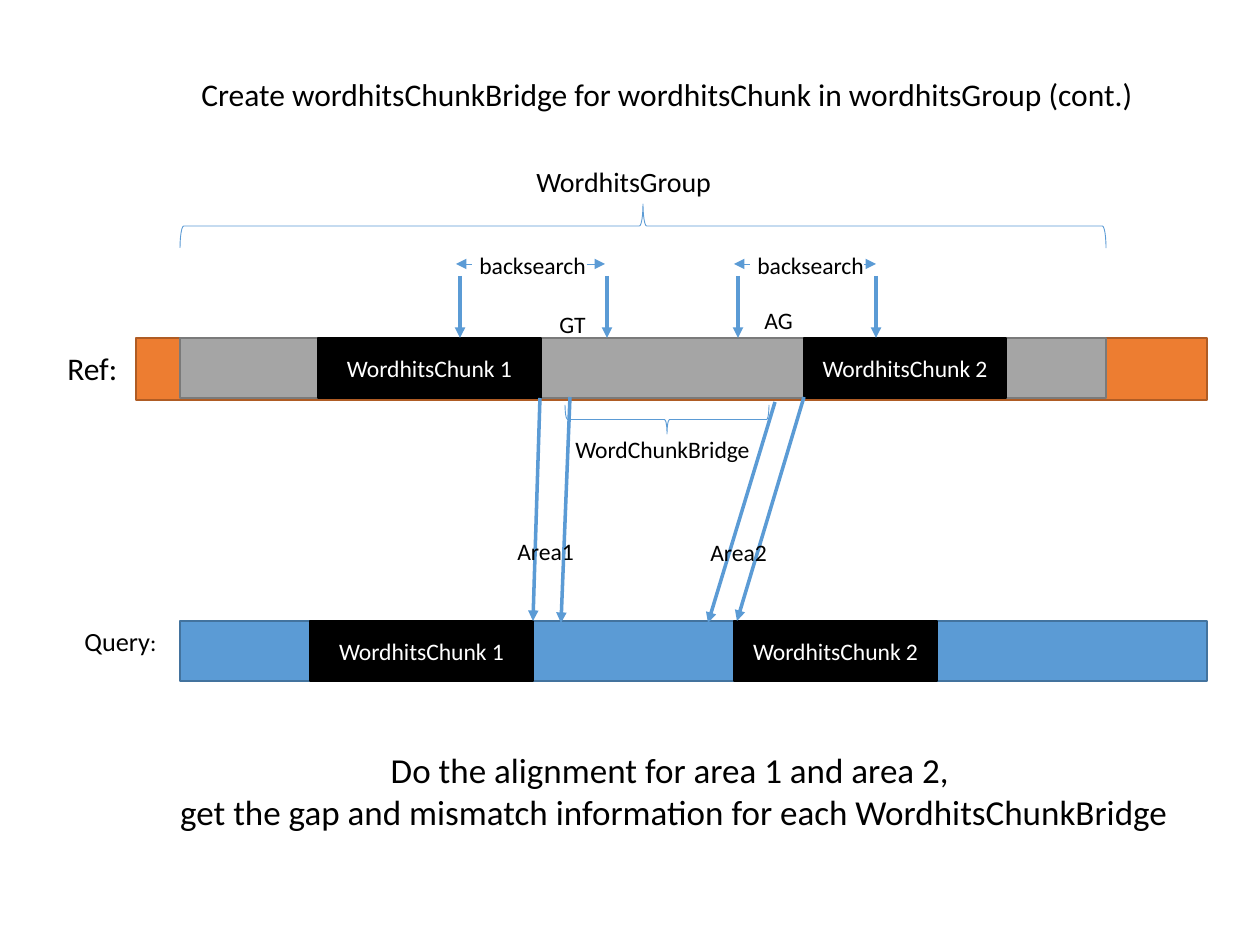
from pptx import Presentation
from pptx import util as u
from pptx.dml.color import RGBColor
from pptx.enum import shapes, text
from pptx.oxml.ns import qn
from lxml import etree

SCALE = 914400 / 126
THEME = {
    "font": "Calibri", "ink": "000000", "paper": "FFFFFF", "blue": "5B9BD5",
    "orange": ("ED7D31", "AF5C24"), "gray": ("A5A5A5", "7A7A7A"),
    "query": ("5B9BD5", "43739E"), "chunk": ("000000", "000000"),
    "small": 13.5, "label": 15, "group": 16, "title": 18, "note": 20,
    "thin": 0.5, "edge": 1, "thick": 2,
}
REF_TOP, QUERY_TOP, BAR_HEIGHT = 338, 621, 60

# left, top, width, height, theme colours, caption
BARS = [
    (136, REF_TOP, 1071, 62, "orange", ""),
    (180, REF_TOP, 926, BAR_HEIGHT, "gray", ""),
    (180, QUERY_TOP, 1027, BAR_HEIGHT, "query", ""),
    (318, REF_TOP, 223, BAR_HEIGHT, "chunk", "WordhitsChunk 1"),
    (804, REF_TOP, 202, BAR_HEIGHT, "chunk", "WordhitsChunk 2"),
    (310, QUERY_TOP, 223, BAR_HEIGHT, "chunk", "WordhitsChunk 1"),
    (734, QUERY_TOP, 203, BAR_HEIGHT, "chunk", "WordhitsChunk 2"),
]
# left, top, width, height as seen, rotation
BRACES = [(180, 204, 926, 44, 270), (565, 405, 204, 29, 90)]

SEARCH_MARKS = [460, 607, 738, 876]
SEARCH_SPANS = [(472, 456), (587, 605), (750, 734), (864, 876)]
AREA_EDGES = [
    (540, 398, 533, 621), (804, 397, 737, 621),
    (570, 397, 561, 623), (775, 402, 708, 623),
]
ARROWS = (
    [(x, 276, x, REF_TOP, "thick") for x in SEARCH_MARKS]
    + [(start, 264, end, 264, "thin") for start, end in SEARCH_SPANS]
    + [(*edge, "thick") for edge in AREA_EDGES]
)
# left, top, width, height, centred, paragraphs of (words, size) spans
LABELS = [
    (189, 69, 968, 50, False,
     [[("Create wordhitsChunkBridge for wordhitsChunk in wordhitsGroup (cont.)", "title")]]),
    (524, 158, 203, 47, False, [[("WordhitsGroup", "group")]]),
    (467, 245, 134, 41, False, [[("backsearch", "small")]]),
    (745, 245, 134, 41, False, [[("backsearch", "small")]]),
    (547, 304, 52, 41, False, [[("GT", "small")]]),
    (752, 300, 54, 41, False, [[("AG", "small")]]),
    (563, 429, 203, 41, False, [[("WordChunkBridge", "small")]]),
    (505, 531, 83, 41, False, [[("Area1", "small")]]),
    (698, 532, 83, 41, False, [[("Area2", "small")]]),
    (55, 343, 76, 50, False, [[("Ref:", "title")]]),
    (72, 619, 219, 44, False, [[("Query", "label"), (":", "small")]]),
    (163, 742, 1022, 97, True,
     [[("Do the alignment for area 1 and area 2, ", "note")],
      [("get the gap and mismatch information for each WordhitsChunkBridge", "note")]]),
]


def px(*lengths):
    """Turn pixels into EMU."""
    return [u.Emu(round(length * SCALE)) for length in lengths]


def rgb(name):
    """Read a hexadecimal colour."""
    return RGBColor.from_string(name)


def style_line(line, colour, width):
    """Colour a line and set its width."""
    line.color.rgb = rgb(colour)
    line.width = u.Pt(THEME[width])


def style_font(font, colour, size):
    """Set typeface, colour and size."""
    font.name = THEME["font"]
    font.color.rgb = rgb(THEME[colour])
    font.size = u.Pt(THEME[size])


def add_bar(page, left, top, width, height, colours, caption):
    """Draw one sequence bar or chunk."""
    bar = page.shapes.add_shape(shapes.MSO_SHAPE.RECTANGLE, *px(left, top, width, height))
    fill, edge = THEME[colours]
    bar.shadow.inherit = False
    bar.fill.solid()
    bar.fill.fore_color.rgb = rgb(fill)
    style_line(bar.line, edge, "edge")
    if caption:
        frame = bar.text_frame
        frame.vertical_anchor = text.MSO_ANCHOR.MIDDLE
        para = frame.paragraphs[0]
        para.text = caption
        para.alignment = text.PP_ALIGN.CENTER
        style_font(para.font, "paper", "small")


def add_brace(page, left, top, width, height, rotation):
    """Draw a right brace turned to lie within the given area."""
    shift = (width - height) / 2
    brace = page.shapes.add_shape(
        shapes.MSO_SHAPE.RIGHT_BRACE, *px(left + shift, top - shift, height, width))
    brace.rotation = rotation
    brace.shadow.inherit = False
    brace.fill.background()
    style_line(brace.line, THEME["blue"], "thin")


def add_arrow(page, x1, y1, x2, y2, width):
    """Draw a straight arrow pointing at its second end."""
    arrow = page.shapes.add_connector(shapes.MSO_CONNECTOR.STRAIGHT, *px(x1, y1, x2, y2))
    style_line(arrow.line, THEME["blue"], width)
    etree.SubElement(arrow.line._get_or_add_ln(), qn("a:tailEnd"), type="triangle")
    etree.SubElement(arrow._element.spPr, qn("a:effectLst"))


def add_label(page, left, top, width, height, centred, paragraphs):
    """Write a text label."""
    box = page.shapes.add_textbox(*px(left, top, width, height))
    frame = box.text_frame
    frame.word_wrap = False
    frame.auto_size = text.MSO_AUTO_SIZE.SHAPE_TO_FIT_TEXT
    for index, spans in enumerate(paragraphs):
        para = frame.add_paragraph() if index else frame.paragraphs[0]
        para.alignment = text.PP_ALIGN.CENTER if centred else text.PP_ALIGN.LEFT
        style_font(para.font, "ink", spans[0][1])
        for words, size in spans:
            span = para.add_run()
            span.text = words
            style_font(span.font, "ink", size)


def build():
    """Build the slide and save it."""
    deck = Presentation()
    deck.slide_width, deck.slide_height = px(1260, 945)
    page = deck.slides.add_slide(deck.slide_layouts[6])
    for draw, items in ((add_bar, BARS), (add_brace, BRACES),
                        (add_arrow, ARROWS), (add_label, LABELS)):
        for item in items:
            draw(page, *item)
    deck.save("out.pptx")


build()
